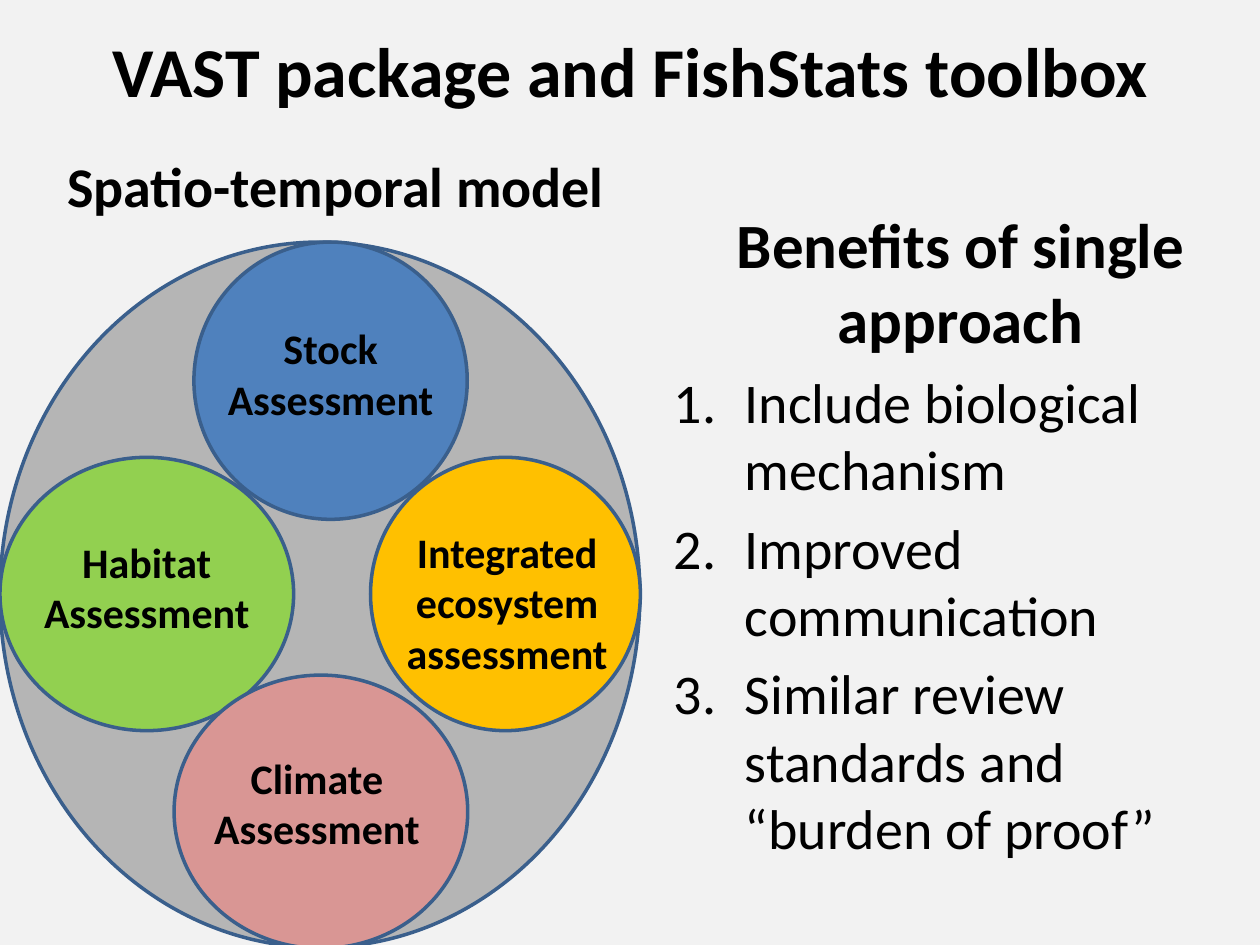
from lxml import etree
from pptx import Presentation
from pptx.dml.color import RGBColor
from pptx.enum.shapes import MSO_SHAPE
from pptx.enum.text import MSO_ANCHOR, MSO_AUTO_SIZE, PP_ALIGN
from pptx.oxml.ns import qn
from pptx.util import Cm, Pt

OVAL = MSO_SHAPE.OVAL
CENTER = PP_ALIGN.CENTER
LEFT = PP_ALIGN.LEFT
TOP = MSO_ANCHOR.TOP
NO_AUTOFIT = MSO_AUTO_SIZE.NONE
GROW = MSO_AUTO_SIZE.SHAPE_TO_FIT_TEXT

COLORS = {
    "background": "F2F2F2",
    "text": "000000",
    "outline": "3A5F8C",
    "model": "000000",
    "habitat": "92D050",
    "stock": "4F81BD",
    "ecosystem": "FFC000",
    "climate": "D99694",
}

# Circle color, circle place, label, label place (left, top, width, height in cm)
ASSESSMENTS = [
    ("habitat", (0, 9.22, 5.92, 5.51),
     "Habitat Assessment", (0, 10.69, 5.92, 2.31)),
    ("stock", (3.91, 4.88, 5.51, 5.59),
     "Stock Assessment", (3.91, 6.38, 5.51, 2.31)),
    ("ecosystem", (7.47, 9.22, 5.44, 5.51),
     "Integrated ecosystem assessment", (7.42, 10.49, 5.61, 3.33)),
    ("climate", (3.51, 13.61, 5.92, 5.51),
     "Climate Assessment", (3.43, 15.04, 5.92, 2.31)),
]
BENEFITS = [
    "Include biological mechanism",
    "Improved communication",
    "Similar review standards and “burden of proof”",
]


def rgb(name):
    return RGBColor.from_string(COLORS[name])


def write_text(para, text, size=24, bold=True, align=CENTER):
    span = para.add_run()
    span.text = text
    para.alignment = align
    span.font.name = "Calibri"
    span.font.size = Pt(size)
    span.font.bold = bold
    span.font.color.rgb = rgb("text")


def set_bullet(para, kind, indent=0.0, **attributes):
    properties = para._p.get_or_add_pPr()
    properties.set("marL", str(Cm(indent)))
    properties.set("indent", str(-Cm(indent)))
    etree.SubElement(properties, qn(kind), **attributes)


class SlideBuilder:
    def __init__(self, page):
        self.page = page
        self.outline = rgb("outline")
        fill = page.background.fill
        fill.solid()
        fill.fore_color.rgb = rgb("background")

    def place(self, box, place):
        box.left, box.top, box.width, box.height = map(Cm, place)

    def title(self, text, place):
        box = self.page.shapes.title
        self.place(box, place)
        box.text_frame.auto_size = NO_AUTOFIT
        write_text(box.text_frame.paragraphs[0], text, size=40)

    def numbered_list(self, heading, items, place):
        box = self.page.placeholders[1]
        self.place(box, place)
        frame = box.text_frame
        frame.auto_size = NO_AUTOFIT
        frame.vertical_anchor = TOP
        first = frame.paragraphs[0]
        set_bullet(first, "a:buNone")
        first.space_before = Pt(0)
        write_text(first, heading, size=36)
        for item in items:
            para = frame.add_paragraph()
            set_bullet(para, "a:buAutoNum", indent=1.43, type="arabicPeriod")
            write_text(para, item, size=32, bold=False, align=LEFT)

    def circle(self, color, place, opacity=None):
        shape = self.page.shapes.add_shape(OVAL, *map(Cm, place))
        shape.shadow.inherit = False
        shape.fill.solid()
        shape.fill.fore_color.rgb = rgb(color)
        shape.line.color.rgb = self.outline
        shape.line.width = Pt(2)
        if opacity is not None:
            tint = shape.fill._xPr.find(".//" + qn("a:srgbClr"))
            etree.SubElement(tint, qn("a:alpha"), val=str(opacity * 1000))

    def label(self, text, place, size=24):
        frame = self.page.shapes.add_textbox(*map(Cm, place)).text_frame
        frame.word_wrap = True
        frame.auto_size = GROW
        write_text(frame.paragraphs[0], text, size=size)


def main():
    deck = Presentation()
    deck.slide_width, deck.slide_height = Cm(25.4), Cm(19.05)
    builder = SlideBuilder(deck.slides.add_slide(deck.slide_layouts[1]))

    # Title and benefits
    builder.title("VAST package and FishStats toolbox", (0.64, 0.43, 24.13, 1.96))
    builder.numbered_list("Benefits of single approach", BENEFITS,
                          (13.33, 4.01, 12.07, 17.78))

    # Shared model with the assessments inside it
    builder.label("Spatio-temporal model", (0.84, 2.92, 11.86, 1.63), size=32)
    builder.circle("model", (0, 4.88, 12.9, 14.22), opacity=25)
    for color, circle_place, text, label_place in ASSESSMENTS:
        builder.circle(color, circle_place)
        builder.label(text, label_place)

    deck.save("out.pptx")


if __name__ == "__main__":
    main()
